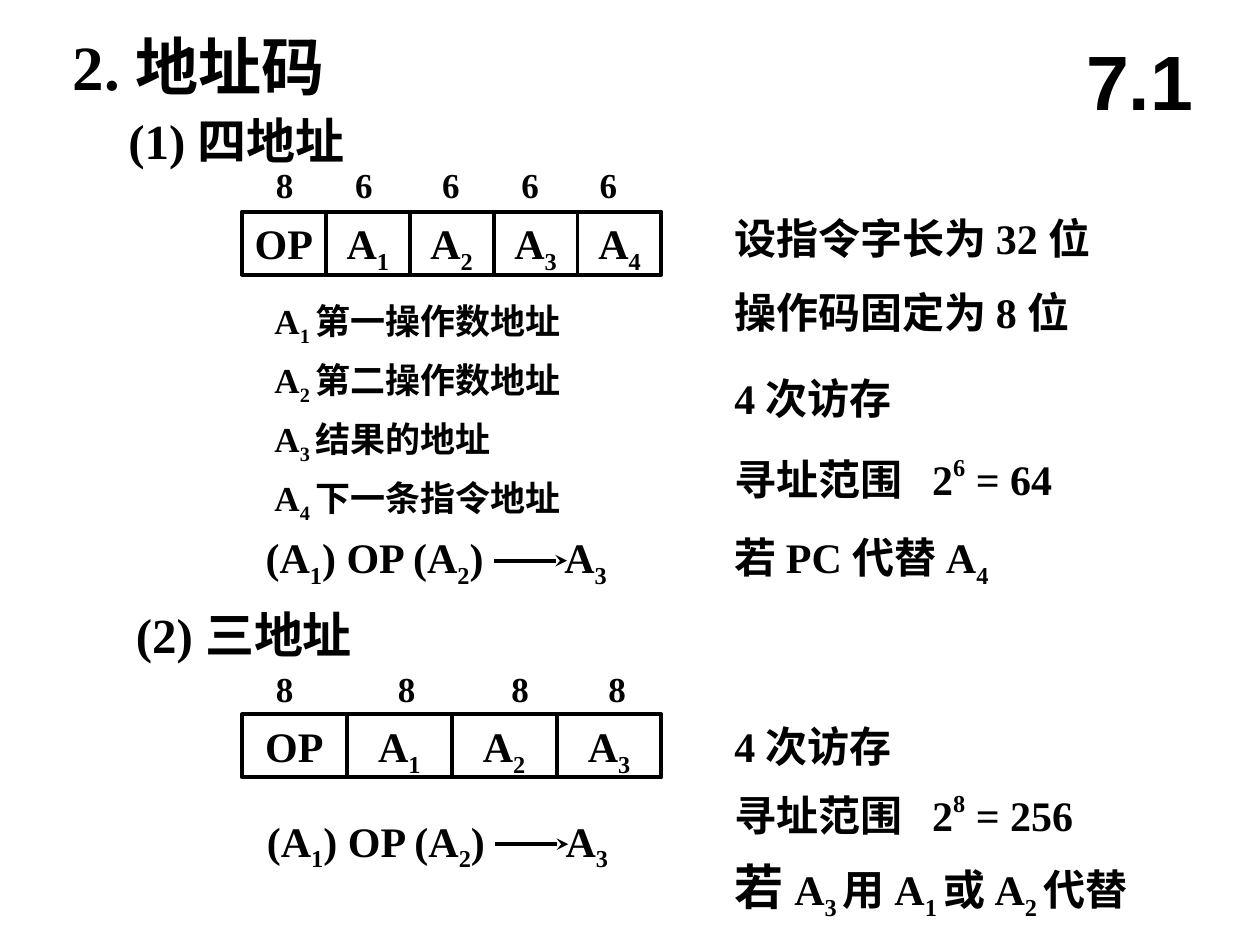
import pptx
import pptx.dml.color
import pptx.enum.shapes
import pptx.enum.text
import pptx.oxml
import pptx.oxml.ns
import pptx.util
from pptx.util import Inches

BLACK = pptx.dml.color.RGBColor(0, 0, 0)
SERIF = "Times New Roman"
SUB, SUPER = -25000, 45000
RIGHT = 5.73
ROW_LEFT, ROW_WIDTH, ROW_HEIGHT = 1.92, 3.33, 0.5
PP_ALIGN = pptx.enum.text.PP_ALIGN
ANCHOR = pptx.enum.text.MSO_ANCHOR


def add_runs(p, parts, size=24, shift=SUB, font=SERIF):
    """Parts alternate between plain text and text shifted off the baseline."""
    for i, part in enumerate(parts):
        r = p.add_run()
        r.text = part
        r.font.name = font
        r.font.size = pptx.util.Pt(size)
        r.font.bold = True
        r.font.color.rgb = BLACK
        if i % 2:
            r.font._element.set("baseline", str(shift))


def add_text(left, top, width, height, parts, size=24, shift=SUB, tabs=()):
    """Add a text box and return its paragraph; tabs are inches from the text edge."""
    s = slide.shapes.add_textbox(Inches(left), Inches(top), Inches(width), Inches(height))
    tf = s.text_frame
    tf.word_wrap = True
    tf.auto_size = pptx.enum.text.MSO_AUTO_SIZE.SHAPE_TO_FIT_TEXT
    p = tf.paragraphs[0]
    if tabs:
        stops = pptx.oxml.parse_xml("<a:tabLst %s/>" % pptx.oxml.ns.nsdecls("a"))
        for tab in tabs:
            stop = stops.makeelement(pptx.oxml.ns.qn("a:tab"), {"pos": str(Inches(tab)), "algn": "l"})
            stops.append(stop)
        p._p.get_or_add_pPr().append(stops)
    add_runs(p, parts, size, shift)
    return p


prs = pptx.Presentation()
prs.slide_width, prs.slide_height = Inches(10), Inches(7.5)
slide = prs.slides.add_slide(prs.slide_layouts[5])

# Section number
title = slide.shapes.title
title.left, title.top = Inches(8.42), Inches(0.17)
title.width, title.height = Inches(1.25), Inches(0.92)
tf = title.text_frame
tf.vertical_anchor = ANCHOR.MIDDLE
tf.auto_size = pptx.enum.text.MSO_AUTO_SIZE.NONE
tf.paragraphs[0].alignment = PP_ALIGN.CENTER
add_runs(tf.paragraphs[0], ["7.1"], 44, font="Arial")

# Headings
add_text(0.48, 0.17, 3.02, 0.7, ["2. 地址码"], 36)
add_text(0.92, 0.83, 5.25, 0.57, ["(1) 四地址"], 28)
add_text(0.98, 4.75, 5.52, 0.57, ["(2) 三地址"], 28)

# Instruction formats: field widths in bits above a row of fields
formats = [
    (1.68, 1.25, 4, "8\t6\t6\t6\t6", (0.63, 1.32, 1.95, 2.57)),
    (5.67, 5.25, 3, "8\t8\t8\t8", (0.97, 1.87, 2.64)),
]
for top, bits_top, addresses, bits, tabs in formats:
    add_text(2.09, bits_top, 3.19, 0.44, [bits], 20, tabs=tabs)
    fields = [["OP"]] + [["A", str(n)] for n in range(1, addresses + 1)]
    width = ROW_WIDTH / len(fields)
    for i, field in enumerate(fields):
        s = slide.shapes.add_shape(
            pptx.enum.shapes.MSO_SHAPE.RECTANGLE, Inches(ROW_LEFT + i * width),
            Inches(top), Inches(width), Inches(ROW_HEIGHT))
        s.shadow.inherit = False
        s.fill.background()
        s.line.color.rgb = BLACK
        s.line.width = pptx.util.Pt(2.25)
        tf = s.text_frame
        tf.word_wrap = False
        tf.vertical_anchor = ANCHOR.TOP
        tf.margin_top, tf.margin_bottom = Inches(0.05), 0
        tf.paragraphs[0].alignment = PP_ALIGN.CENTER
        add_runs(tf.paragraphs[0], field)

# Meaning of each address
meanings = ["第一操作数地址", "第二操作数地址", "结果的地址", "下一条指令地址"]
for i, meaning in enumerate(meanings):
    add_text(2.08, 2.33 + i * 0.467, 3.17, 0.48, ["A", f"{i + 1} ", meaning], 20)

# Operations, each with an arrow to its result
for left, top in [(2.01, 4.17), (2.02, 6.42)]:
    add_text(left, top, 2.95, 0.56, ["(A", "1", ") OP (A", "2", ")\tA", "3"], tabs=[2.37])
    y = Inches(top + 0.28)
    s = slide.shapes.add_connector(
        pptx.enum.shapes.MSO_CONNECTOR.STRAIGHT, Inches(left + 1.91), y, Inches(left + 2.49), y)
    s.line.color.rgb = BLACK
    s.line.width = pptx.util.Pt(2.25)
    ns = pptx.oxml.ns.nsdecls("a")
    s.line._get_or_add_ln().append(pptx.oxml.parse_xml(f'<a:tailEnd {ns} type="stealth"/>'))
    s._element.spPr.append(pptx.oxml.parse_xml(f"<a:effectLst {ns}/>"))

# Remarks on the right
for top, remark in [(1.68, "设指令字长为 32 位"), (2.27, "操作码固定为 8 位")]:
    p = add_text(RIGHT, top, 3.69, 0.46, [remark])
    p.line_spacing = 0.9
for top in (2.91, 5.67):
    add_text(RIGHT, top, 2.6, 0.5, ["4 次访存"])
for top, exponent, count in [(3.54, "6", 64), (6.21, "8", 256)]:
    add_text(RIGHT, top, 3.5, 0.51, ["寻址范围\t2", exponent, f" = {count}"], shift=SUPER, tabs=[1.57])
add_text(RIGHT, 4.17, 3.02, 0.56, ["若 PC 代替 A", "4"])
p = add_text(RIGHT, 6.75, 3.83, 0.61, ["若 "], 28)
add_runs(p, ["A", "3 ", "用 A", "1 ", "或 A", "2 ", "代替"])

prs.save("out.pptx")
